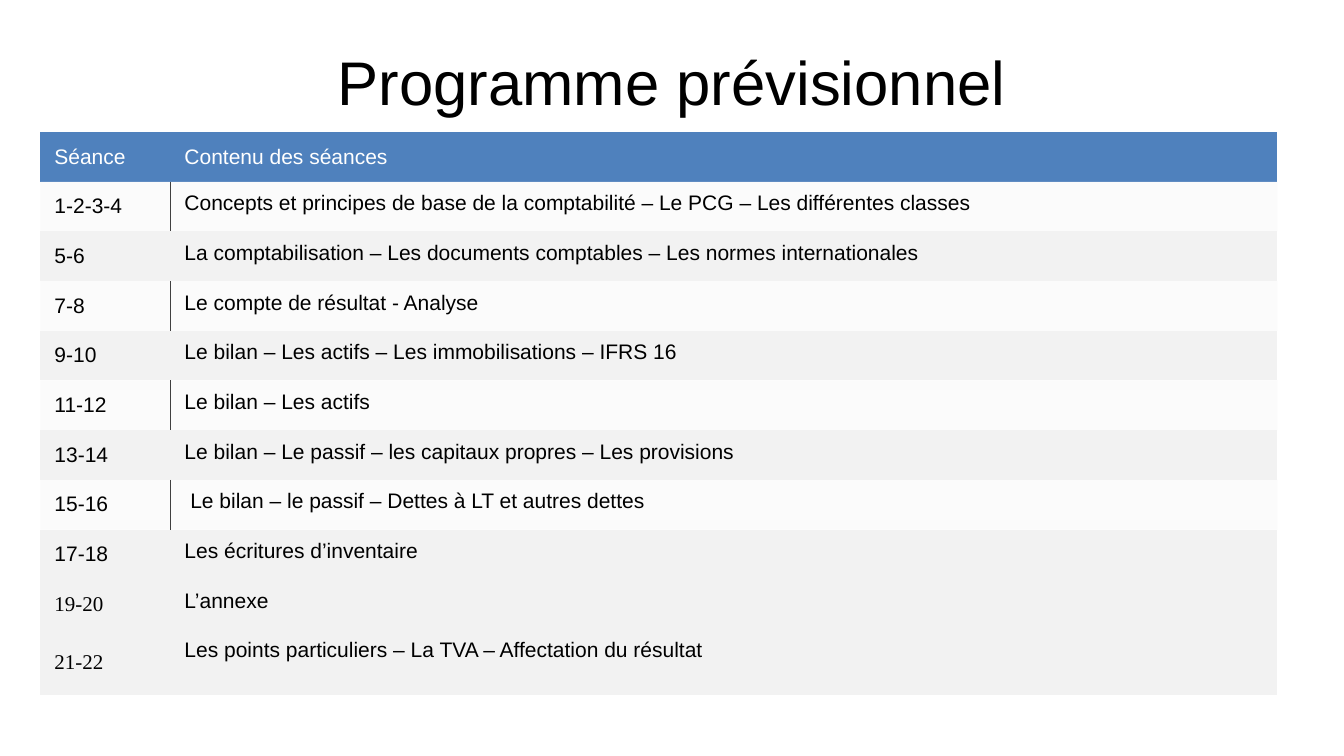
from dataclasses import dataclass

from lxml import etree
from pptx import Presentation
from pptx import util as u
from pptx.dml.color import RGBColor
from pptx.enum import text
from pptx.oxml import ns


@dataclass(frozen=True)
class Theme:
    """Colours, fonts and type sizes of the slide."""
    head: str = "4F81BD"
    band: str = "F2F2F2"
    rule: str = "404040"
    ink: str = "000000"
    light: str = "FFFFFF"
    font: str = "Arial"
    serif: str = "Times New Roman"
    title: int = 44
    body: int = 15


THEME = Theme()
WIDE, HIGH = 13.33, 7.5
LEFT, TOP = 0.4, 1.31
COLS = (1.29, 10.98)
ROW, LAST = 4.93 / 10, 0.66
PLAIN = "{2D5ABB26-0587-4C30-8999-92F81FD0307C}"
HEADS = ("Séance", "Contenu des séances")
PLAN = (
    ("1-2-3-4", "Concepts et principes de base de la comptabilité – Le PCG – Les différentes classes"),
    ("5-6", "La comptabilisation – Les documents comptables – Les normes internationales"),
    ("7-8", "Le compte de résultat - Analyse"),
    ("9-10", "Le bilan – Les actifs – Les immobilisations – IFRS 16"),
    ("11-12", "Le bilan – Les actifs"),
    ("13-14", "Le bilan – Le passif – les capitaux propres – Les provisions"),
    ("15-16", " Le bilan – le passif – Dettes à LT et autres dettes"),
    ("17-18", "Les écritures d’inventaire"),
    ("19-20", "L’annexe"),
    ("21-22", "Les points particuliers – La TVA – Affectation du résultat"),
)


def style(par, size, color, font, align):
    """Format a paragraph and its runs."""
    par.alignment = align
    for run in par.runs:
        run.font.size = u.Pt(size)
        run.font.name = font
        run.font.color.rgb = RGBColor.from_string(color)


def title(slide, words):
    """Add the centred slide title."""
    box = slide.shapes.add_textbox(
        u.Inches(WIDE * 0.05), u.Inches(HIGH * 0.04), u.Inches(WIDE * 0.9), u.Inches(1))
    frame = box.text_frame
    frame.word_wrap = True
    frame.vertical_anchor = text.MSO_ANCHOR.MIDDLE
    frame.text = words
    style(frame.paragraphs[0], THEME.title, THEME.ink, THEME.font, text.PP_ALIGN.CENTER)


def write(cell, words, color, font, top):
    """Put words in a cell, justified at the top or left in the middle."""
    cell.margin_left, cell.margin_right = u.Inches(0.14), u.Inches(0.08)
    cell.margin_top = cell.margin_bottom = u.Inches(0.1)
    cell.vertical_anchor = text.MSO_ANCHOR.TOP if top else text.MSO_ANCHOR.MIDDLE
    cell.text = words
    align = text.PP_ALIGN.JUSTIFY if top else text.PP_ALIGN.LEFT
    style(cell.text_frame.paragraphs[0], THEME.body, color, font, align)


def paint(cell, color, pale=False):
    """Fill a cell, with 30 % opacity when pale."""
    cell.fill.solid()
    cell.fill.fore_color.rgb = RGBColor.from_string(color)
    if pale:
        tone = cell._tc.tcPr.find(".//" + ns.qn("a:srgbClr"))
        etree.SubElement(tone, ns.qn("a:alpha"), val="30000")


def edge(cell, side):
    """Draw a thin rule on one side of a cell."""
    line = etree.Element(ns.qn("a:ln" + side), w=str(u.Pt(0.5)))
    fill = etree.SubElement(line, ns.qn("a:solidFill"))
    etree.SubElement(fill, ns.qn("a:srgbClr"), val=THEME.rule)
    cell._tc.get_or_add_tcPr().insert(0, line)


def grid(slide):
    """Add the empty table with its rows and columns sized."""
    count = len(PLAN) + 1
    frame = slide.shapes.add_table(
        count, len(COLS), u.Inches(LEFT), u.Inches(TOP),
        u.Inches(sum(COLS)), u.Inches(ROW * (count - 1) + LAST))
    table = frame.table
    table.horz_banding = False
    table._tbl.tblPr.find(ns.qn("a:tableStyleId")).text = PLAIN
    for col, width in zip(table.columns, COLS):
        col.width = u.Inches(width)
    for row in table.rows:
        row.height = u.Inches(ROW)
    table.rows[count - 1].height = u.Inches(LAST)
    return table


def agenda(slide):
    """Add the table of sessions and their content."""
    table = grid(slide)
    for col, words in enumerate(HEADS):
        cell = table.cell(0, col)
        write(cell, words, THEME.light, THEME.font, False)
        paint(cell, THEME.head)
    for row, pair in enumerate(PLAN, 1):
        pale = row % 2 == 1 and row < 9
        for col, words in enumerate(pair):
            cell = table.cell(row, col)
            font = THEME.serif if row >= 9 and col == 0 else THEME.font
            write(cell, words, THEME.ink, font, col == 1)
            paint(cell, THEME.band, pale)
            if pale:
                edge(cell, "RL"[col])


def main():
    """Build and save the slide."""
    deck = Presentation()
    deck.slide_width, deck.slide_height = u.Inches(WIDE), u.Inches(HIGH)
    slide = deck.slides.add_slide(deck.slide_layouts[6])
    title(slide, "Programme prévisionnel")
    agenda(slide)
    deck.save("out.pptx")


if __name__ == "__main__":
    main()
